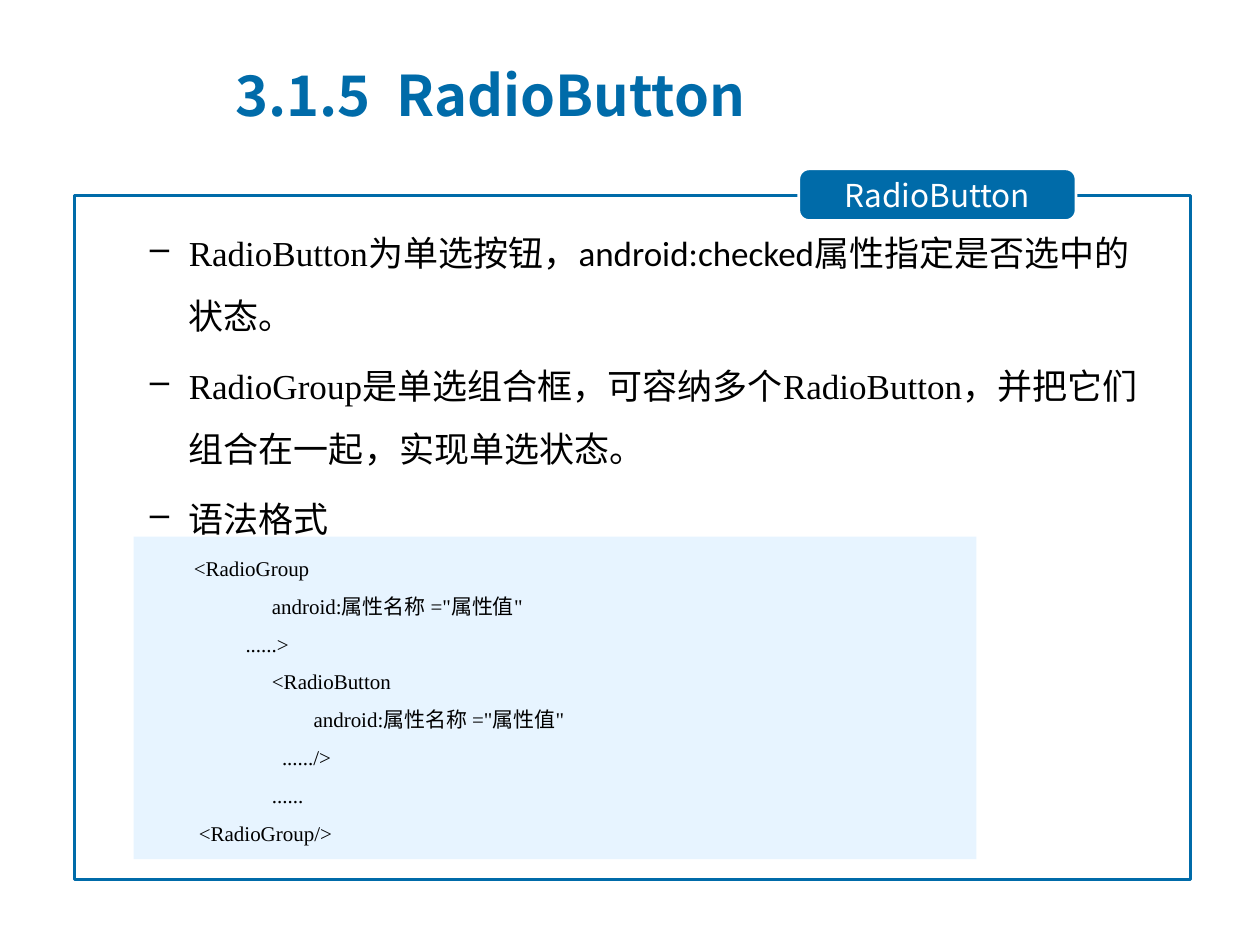
from pptx import Presentation
from pptx.dml.color import RGBColor
from pptx.enum.shapes import MSO_SHAPE as SHAPE
from pptx.enum.text import MSO_ANCHOR as ANCHOR, PP_ALIGN as ALIGN
from pptx.oxml.ns import qn
from pptx.util import Inches, Pt
from lxml.etree import SubElement

BLUE, PALE, WHITE, BLACK = "006BA9", "E7F4FF", "FFFFFF", "000000"
SANS, SERIF, LATIN = "Noto Sans CJK SC", "Times New Roman", "Calibri"

BULLETS = [
    [("RadioButton为单选按钮，", SERIF),
     ("android:checked属性指定是否选中的状态", LATIN), ("。", SERIF)],
    [("RadioGroup是单选组合框，可容纳多个RadioButton，"
      "并把它们组合在一起，实现单选状态。", SERIF)],
    [("语法格式", SERIF)],
]
CODE = [  # indent in inches, text
    (0.38, "<RadioGroup"),
    (1, 'android:属性名称 ="属性值"'),
    (0.79, "......>"),
    (1, "<RadioButton"),
    (1.33, 'android:属性名称 ="属性值"'),
    (1.08, "....../>"),
    (1, "......"),
    (0.42, "<RadioGroup/>"),
]


def rgb(value):
    return RGBColor.from_string(value)


class Deck:
    def __init__(self):
        self.prs = Presentation()
        self.prs.slide_width, self.prs.slide_height = Inches(10), Inches(7.5)
        self.s = self.prs.slides.add_slide(self.prs.slide_layouts[6])

    def shape(self, kind, box, fill=None, line=None):
        sp = self.s.shapes.add_shape(kind, *map(Inches, box))
        sp.shadow.inherit = False
        if fill:
            sp.fill.solid()
            sp.fill.fore_color.rgb = rgb(fill)
        else:
            sp.fill.background()
        if line:
            sp.line.color.rgb = rgb(line)
            sp.line.width = Pt(1.5)
        else:
            sp.line.fill.background()
        return sp

    def text_box(self, box, anchor=ANCHOR.TOP):
        tf = self.s.shapes.add_textbox(*map(Inches, box)).text_frame
        tf.word_wrap = True
        tf.vertical_anchor = anchor
        return tf

    def run(self, p, text, size, font, color=BLACK, bold=False):
        r = p.add_run()
        r.text = text
        r.font.size, r.font.name, r.font.bold = Pt(size), font, bold
        r.font.color.rgb = rgb(color)
        SubElement(r.font._element, qn("a:ea"), typeface=SANS)

    def paragraphs(self, tf, count):
        """Return count paragraphs, the first being the one already there."""
        return [tf.paragraphs[0]] + [tf.add_paragraph() for _ in range(count - 1)]

    def indent(self, p, left, first=0):
        pPr = p._p.get_or_add_pPr()
        pPr.set("marL", str(Inches(left)))
        pPr.set("indent", str(Inches(first)))
        return pPr

    def bullets(self, box, items):
        tf = self.text_box(box)
        for p, runs in zip(self.paragraphs(tf, len(items)), items):
            p.level, p.line_spacing, p.space_before = 1, 1.5, Pt(4)
            SubElement(self.indent(p, 0.81, -0.31), qn("a:buChar"), char="–")
            for text, font in runs:
                self.run(p, text, 20, font)

    def code(self, box, lines):
        tf = self.shape(SHAPE.RECTANGLE, box, PALE).text_frame
        tf.vertical_anchor = ANCHOR.TOP
        for p, (left, text) in zip(self.paragraphs(tf, len(lines)), lines):
            p.alignment, p.line_spacing = ALIGN.LEFT, 1.5
            self.indent(p, left)
            self.run(p, text, 12, SERIF)

    def label(self, box, text):
        sp = self.shape(SHAPE.ROUNDED_RECTANGLE, box, BLUE, WHITE)
        sp.adjustments[0] = 0.2
        tf = sp.text_frame
        tf.vertical_anchor = ANCHOR.MIDDLE
        tf.margin_top = tf.margin_bottom = Inches(0.06)
        p = tf.paragraphs[0]
        p.alignment = ALIGN.CENTER
        self.run(p, text, 18, SANS, WHITE)

    def title(self, box, text):
        p = self.text_box(box, ANCHOR.MIDDLE).paragraphs[0]
        self.run(p, text, 32, SANS, BLUE, bold=True)


def main():
    deck = Deck()
    deck.shape(SHAPE.RECTANGLE, (0.59, 1.55, 8.86, 5.43), line=BLUE)
    deck.label((6.34, 1.34, 2.2, 0.41), "RadioButton")
    deck.bullets((0.59, 1.62, 8.72, 2.28), BULLETS)
    deck.title((1.77, 0.44, 7.72, 0.61), "3.1.5  RadioButton")
    deck.code((1.06, 4.26, 6.69, 2.56), CODE)
    deck.prs.save("out.pptx")


if __name__ == "__main__":
    main()
